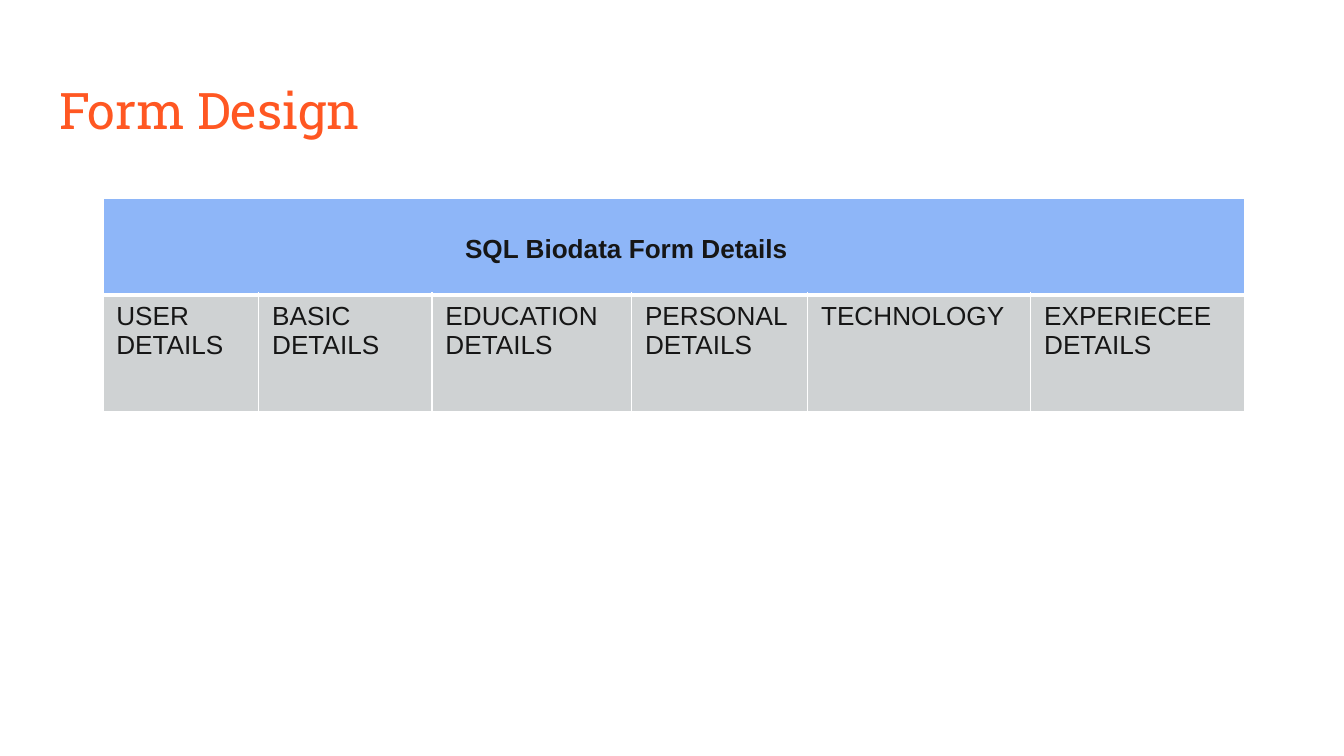
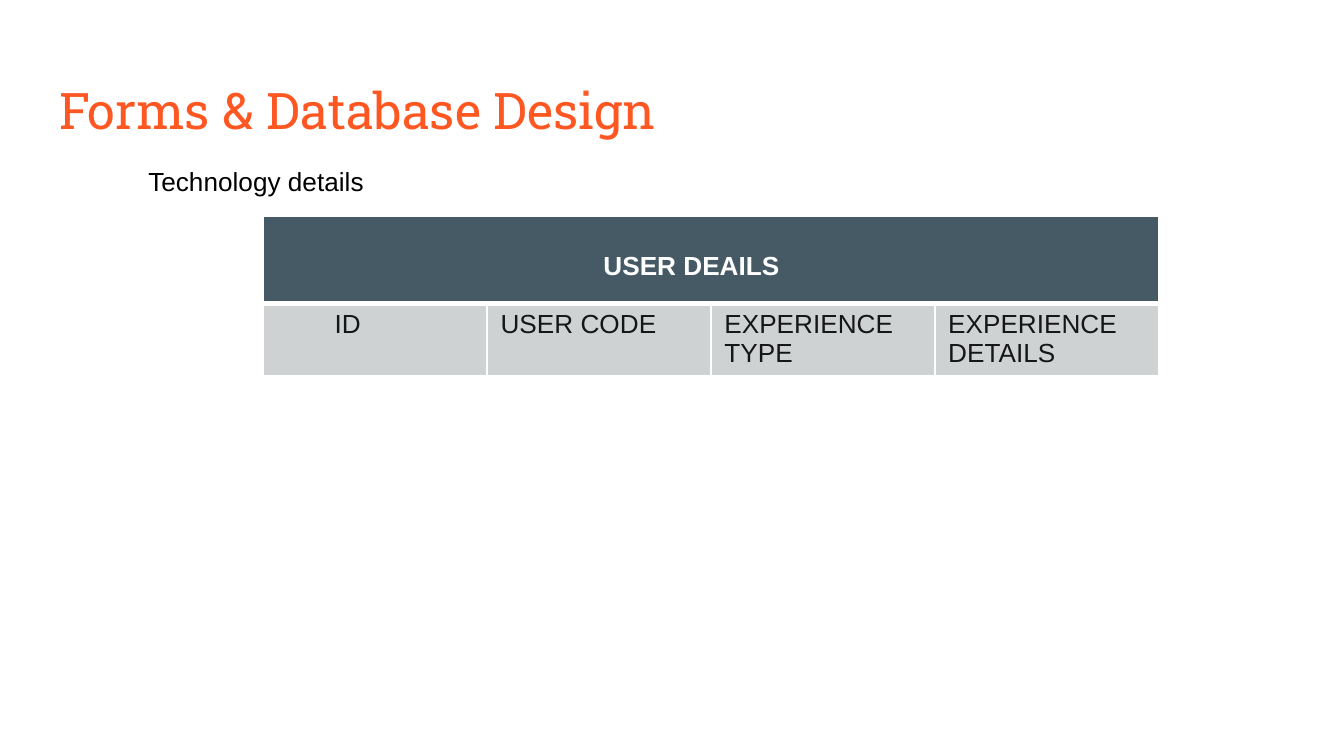
"""Build two slides that show the form and database design tables."""
from dataclasses import dataclass
from typing import Any

from lxml.etree import SubElement
from pptx import Presentation
from pptx.dml.color import RGBColor
from pptx.enum.text import MSO_ANCHOR, PP_ALIGN
from pptx.oxml.ns import qn
from pptx.util import Pt

PX = 4572
WIDTH, HEIGHT = 2000, 1125
TITLE_BOX = (68, 98, 1864, 126)
CAPTION_BOX = (201, 236, 366, 68)
TITLE_INSET = 20
HEADER_TOP = 54

ORANGE = RGBColor(0xFF, 0x57, 0x22)
BLUE = RGBColor(0x8E, 0xB6, 0xF8)
SLATE = RGBColor(0x45, 0x5A, 0x64)
GREY = RGBColor(0xCF, 0xD2, 0xD3)
INK = RGBColor(0x16, 0x16, 0x16)
BLACK = RGBColor(0, 0, 0)
WHITE = RGBColor(0xFF, 0xFF, 0xFF)

TITLE_FONT = {"name": "Roboto Slab", "size": Pt(27), "bold": False}
BODY_FONT = {"name": "Arial", "size": Pt(14), "bold": False}
HEADER_FONT = BODY_FONT | {"bold": True}


@dataclass(frozen=True)
class Column:
    label: str
    width: int
    indent: int = 0


@dataclass(frozen=True)
class FormTable:
    left: int
    top: int
    rows: tuple[int, int]
    header: str
    header_indent: int
    header_fill: RGBColor
    header_color: RGBColor
    columns: tuple[Column, ...]


@dataclass(frozen=True)
class FormSlide:
    title: str
    table: FormTable
    caption: str = ""


SLIDES = (
    FormSlide(
        "Form Design",
        FormTable(
            153, 295, (144, 174), "SQL Biodata Form Details", 519, BLUE, INK,
            (
                Column("USER DETAILS", 232),
                Column("BASIC DETAILS", 258),
                Column("EDUCATION DETAILS", 297),
                Column("PERSONAL DETAILS", 262),
                Column("TECHNOLOGY", 332),
                Column("EXPERIECEE DETAILS", 318),
            ),
        ),
    ),
    FormSlide(
        "Forms & Database Design",
        FormTable(
            392, 321, (130, 104), "USER DEAILS", 486, SLATE, WHITE,
            (
                Column("ID", 333, 86),
                Column("USER CODE", 333),
                Column("EXPERIENCE TYPE", 333),
                Column("EXPERIENCE DETAILS", 333),
            ),
        ),
        "Technology details",
    ),
)


def scale(box: tuple[int, ...]) -> list[int]:
    """Turn px lengths into EMU."""
    return [value * PX for value in box]


def write(
    tf: Any, text: str, font: dict[str, Any], color: RGBColor, indent: int = 0
) -> None:
    """Write one left-aligned formatted paragraph."""
    p = tf.paragraphs[0]
    p.alignment = PP_ALIGN.LEFT
    if indent:
        p_pr = p._p.get_or_add_pPr()
        p_pr.set("marL", str(indent * PX))
        p_pr.set("indent", "0")
    r = p.add_run()
    r.text = text
    for name, value in font.items():
        setattr(r.font, name, value)
    r.font.color.rgb = color


def add_borders(cell: Any, widths: dict[str, int]) -> None:
    """Draw white cell borders with widths in points."""
    tc_pr = cell._tc.get_or_add_tcPr()
    for side in "LRTB":
        ln = SubElement(tc_pr, qn(f"a:ln{side}"), w=str(Pt(widths.get(side, 1))))
        fill = SubElement(ln, qn("a:solidFill"))
        SubElement(fill, qn("a:srgbClr"), val=str(WHITE))


def paint(cell: Any, fill: RGBColor, borders: dict[str, int]) -> None:
    """Give a cell its borders and fill."""
    add_borders(cell, borders)
    cell.fill.solid()
    cell.fill.fore_color.rgb = fill


def add_title(s: Any, text: str) -> None:
    """Format the title placeholder."""
    sp = s.shapes.title
    for name, value in zip(("left", "top", "width", "height"), scale(TITLE_BOX)):
        setattr(sp, name, value)
    tf = sp.text_frame
    tf.vertical_anchor = MSO_ANCHOR.TOP
    for side in ("left", "top", "right", "bottom"):
        setattr(tf, f"margin_{side}", TITLE_INSET * PX)
    write(tf, text, TITLE_FONT, ORANGE)


def add_form_table(s: Any, form: FormTable) -> None:
    """Add a table with a merged header above its field names."""
    box = (form.left, form.top, sum(c.width for c in form.columns), sum(form.rows))
    table = s.shapes.add_table(2, len(form.columns), *scale(box)).table
    for row, height in zip(table.rows, form.rows):
        row.height = height * PX
    for i, column in enumerate(form.columns):
        table.columns[i].width = column.width * PX
        paint(table.cell(0, i), form.header_fill, {"B": 3})
        cell = table.cell(1, i)
        paint(cell, GREY, {"T": 3})
        write(cell.text_frame, column.label, BODY_FONT, INK, column.indent)
    header = table.cell(0, 0)
    header.merge(table.cell(0, len(form.columns) - 1))
    header.margin_top = HEADER_TOP * PX
    write(
        header.text_frame, form.header, HEADER_FONT,
        form.header_color, form.header_indent,
    )


def add_caption(s: Any, text: str) -> None:
    """Add the line above the table."""
    sp = s.shapes.add_textbox(*scale(CAPTION_BOX))
    sp.text_frame.word_wrap = False
    write(sp.text_frame, text, BODY_FONT, BLACK)


def main() -> None:
    """Build and save the presentation."""
    prs = Presentation()
    prs.slide_width = WIDTH * PX
    prs.slide_height = HEIGHT * PX
    for form_slide in SLIDES:
        s = prs.slides.add_slide(prs.slide_layouts[5])
        add_title(s, form_slide.title)
        add_form_table(s, form_slide.table)
        if form_slide.caption:
            add_caption(s, form_slide.caption)
    prs.save("out.pptx")


if __name__ == "__main__":
    main()
